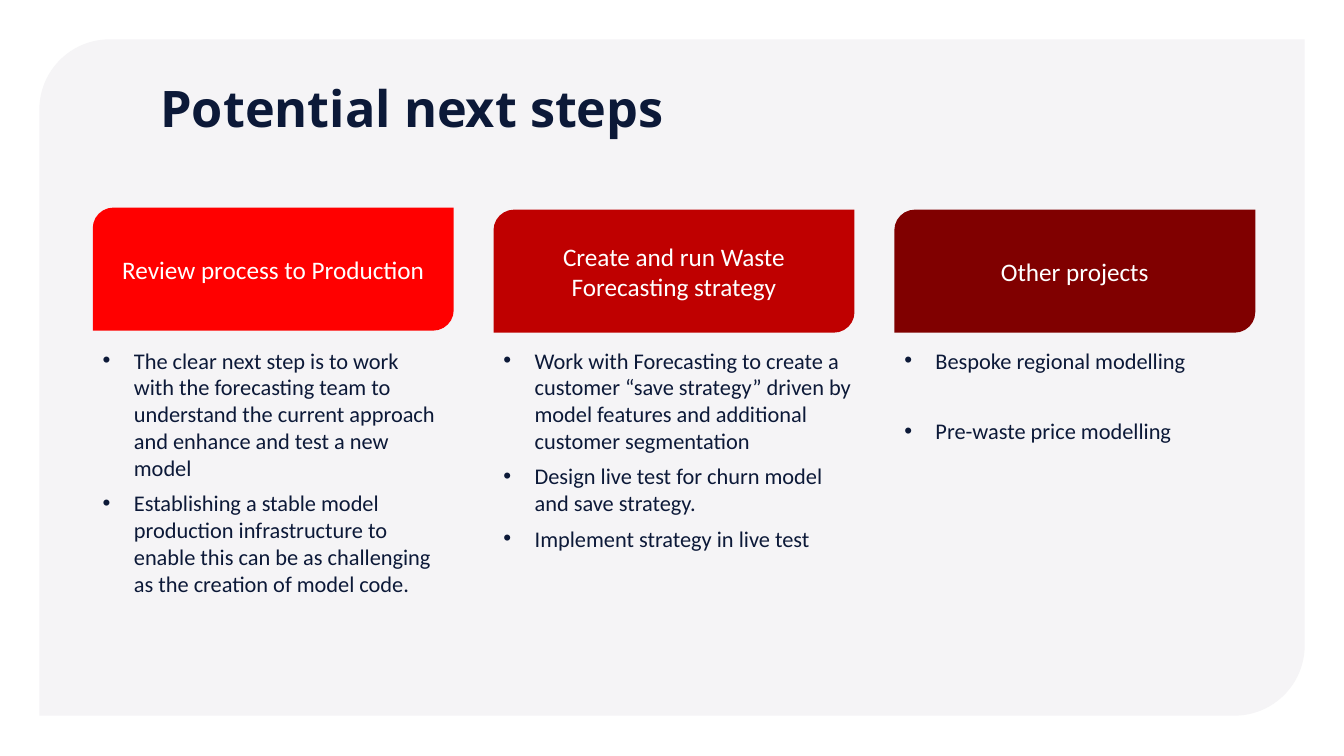
from lxml import etree
from pptx import Presentation
from pptx import util as u
from pptx.dml.color import RGBColor
from pptx.enum import shapes, text
from pptx.oxml.ns import qn

NAVY, PANEL, WHITE = "0C1938", "F5F4F6", "FFFFFF"
LEFT, PITCH, CARD_WIDTH, CARD_HEIGHT = 0.92, 3.975, 3.58, 1.22
BODY_TOP, INDENT = 3.39, 0.31


def style_font(paragraph, name, size, color):
    paragraph.font.name = name
    paragraph.font.size = u.Pt(size)
    paragraph.font.color.rgb = RGBColor.from_string(color)


def add_diagonal_card(left, top, width, height, color, corner):
    """Add a borderless rectangle with two opposite corners rounded."""
    shape = slide.shapes.add_shape(
        shapes.MSO_SHAPE.ROUND_2_DIAG_RECTANGLE,
        u.Inches(left), u.Inches(top), u.Inches(width), u.Inches(height))
    shape.adjustments[0] = corner
    shape.fill.solid()
    shape.fill.fore_color.rgb = RGBColor.from_string(color)
    shape.line.fill.background()
    shape.shadow.inherit = False
    return shape


presentation = Presentation()
presentation.slide_width = u.Inches(13.33)
presentation.slide_height = u.Inches(7.5)
slide = presentation.slides.add_slide(presentation.slide_layouts[5])

# Background panel, behind the title
panel = add_diagonal_card(0.39, 0.39, 12.55, 6.71, PANEL, 0.104)
slide.shapes.element.insert(2, panel.element)

title = slide.shapes.title
title.left, title.top = u.Inches(1.49), u.Inches(0.38)
title.width, title.height = u.Inches(11.53), u.Inches(1.45)
title.text_frame.text = "Potential next steps"
title.text_frame.vertical_anchor = text.MSO_ANCHOR.MIDDLE
paragraph = title.text_frame.paragraphs[0]
paragraph.alignment = text.PP_ALIGN.LEFT
paragraph.line_spacing = 0.9
paragraph.font.bold = True
style_font(paragraph, "Open Sans", 36, NAVY)

# Heading, colour, card top, body width and height, space after, bullets
columns = [
    ("Review process to Production", "FF0000", 2.06, 3.58, 2.96, 6, [
        "The clear next step is to work with the forecasting team to understand "
        "the current approach and enhance and test a new model",
        "Establishing a stable model production infrastructure to enable this "
        "can be as challenging as the creation of model code."]),
    ("Create and run Waste Forecasting strategy", "BF0000", 2.08, 3.7, 2.15, 6, [
        "Work with Forecasting to create a customer “save strategy” driven by "
        "model features and additional customer segmentation",
        "Design live test for churn model and save strategy.",
        "Implement strategy in live test"]),
    ("Other projects", "800000", 2.08, 3.58, 1.08, 31, [
        "Bespoke regional modelling",
        "Pre-waste price modelling"]),
]

for index, column in enumerate(columns):
    heading, color, top, body_width, body_height, space_after, bullets = column
    left = LEFT + index * PITCH

    card = add_diagonal_card(left, top, CARD_WIDTH, CARD_HEIGHT, color, 0.167)
    card.text_frame.text = heading
    card.text_frame.vertical_anchor = text.MSO_ANCHOR.MIDDLE
    paragraph = card.text_frame.paragraphs[0]
    paragraph.alignment = text.PP_ALIGN.CENTER
    style_font(paragraph, "Calibri", 18, WHITE)

    body = slide.shapes.add_textbox(u.Inches(left), u.Inches(BODY_TOP),
                                    u.Inches(body_width), u.Inches(body_height))
    body.text_frame.word_wrap = True
    body.text_frame.text = "\n".join(bullets)
    for paragraph in body.text_frame.paragraphs:
        style_font(paragraph, "Calibri", 16, NAVY)
        paragraph.space_after = u.Pt(space_after)
        properties = paragraph._p.get_or_add_pPr()
        properties.set("marL", str(u.Inches(INDENT)))
        properties.set("indent", str(-u.Inches(INDENT)))
        bullet_font = etree.Element(qn("a:buFont"), typeface="Arial")
        bullet = etree.Element(qn("a:buChar"), char="•")
        run_defaults = properties.find(qn("a:defRPr"))
        run_defaults.addprevious(bullet_font)
        run_defaults.addprevious(bullet)

presentation.save("out.pptx")
